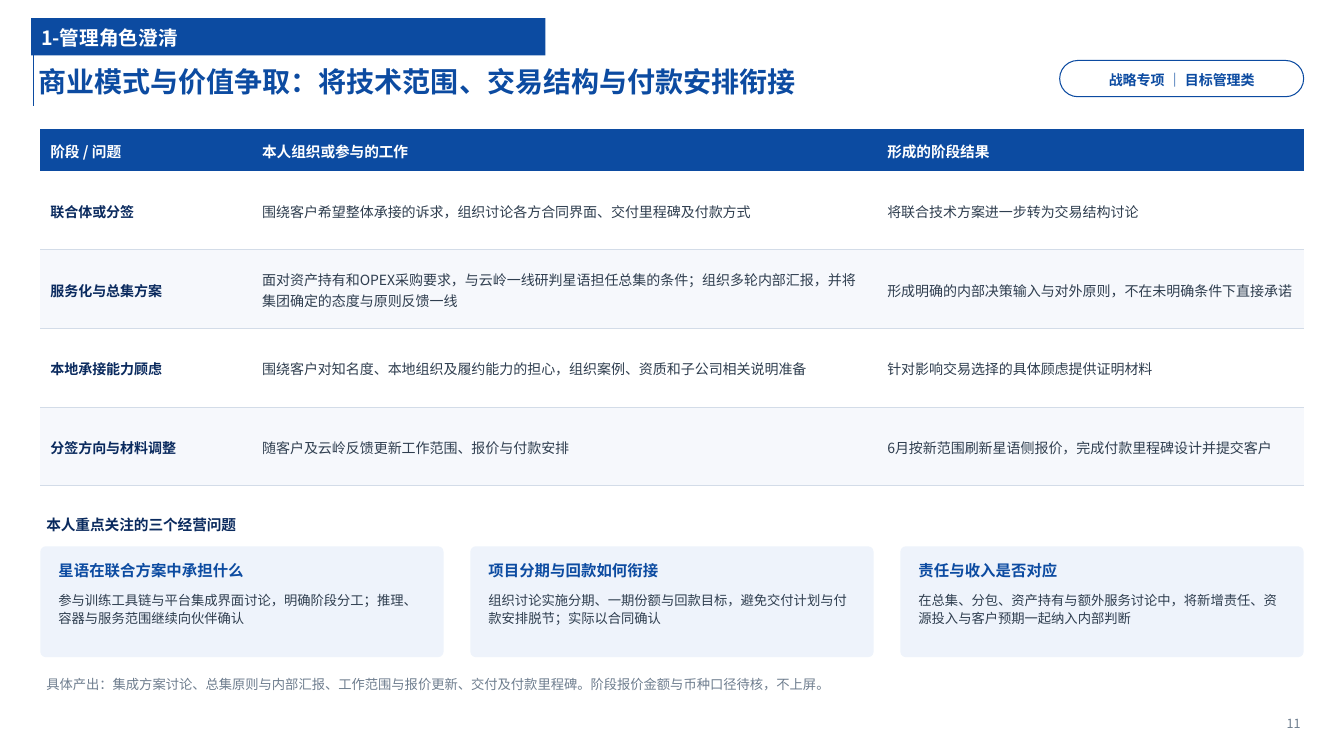
from lxml.etree import SubElement
from pptx import Presentation
from pptx.dml.color import RGBColor
from pptx.enum.shapes import MSO_CONNECTOR, MSO_SHAPE
from pptx.enum.text import MSO_ANCHOR as Anchor, PP_ALIGN as Align
from pptx.oxml import parse_xml
from pptx.oxml.ns import nsdecls, qn
from pptx.util import Inches, Pt

FONT = "Noto Sans CJK SC"
BLUE = RGBColor(0x0C, 0x4B, 0xA1)
NAVY = RGBColor(0x0A, 0x2A, 0x5E)
BODY = RGBColor(0x2F, 0x3E, 0x4F)
GRAY = RGBColor(0x6F, 0x7E, 0x8F)
WHITE = RGBColor(0xFF, 0xFF, 0xFF)
BAND = RGBColor(0xF6, 0xF8, 0xFC)
CARD = RGBColor(0xEE, 0xF3, 0xFB)
RULE = RGBColor(0xD3, 0xDC, 0xE8)

LEFT, WIDTH = 0.4, 12.53


def write(frame, text, size, color, bold=False, align=Align.LEFT, spacing=1.12, after=0):
    """Fill a text frame with one formatted paragraph."""
    para = frame.paragraphs[0]
    para.alignment = align
    para.line_spacing = spacing
    para.space_after = Pt(after)
    span = para.add_run()
    span.text = text
    span.font.size = Pt(size)
    span.font.bold = bold
    span.font.color.rgb = color
    span.font.name = FONT
    SubElement(span.font._element, qn("a:ea"), typeface=FONT)


def add_box(area, text=None, shape=None, fill=None, line=None, radius=None,
            insets=(0.06, 0.04, 0.06, 0.04), anchor=Anchor.MIDDLE, **style):
    """Add a text box, or a preset shape when one is named."""
    place = [Inches(length) for length in area]
    if shape is None:
        box = page.shapes.add_textbox(*place)
    else:
        box = page.shapes.add_shape(shape, *place)
        box.shadow.inherit = False
        box.fill.solid()
        box.fill.fore_color.rgb = fill
        if line is None:
            box.line.fill.background()
        else:
            box.line.color.rgb = line
            box.line.width = Pt(0.75)
        if radius is not None:
            box.adjustments[0] = radius
    if text:
        frame = box.text_frame
        frame.word_wrap = True
        frame.vertical_anchor = anchor
        frame.margin_left, frame.margin_top, frame.margin_right, frame.margin_bottom = (
            Inches(inset) for inset in insets)
        write(frame, text, **style)


deck = Presentation()
deck.slide_width, deck.slide_height = Inches(13.33), Inches(7.5)
page = deck.slides.add_slide(deck.slide_layouts[6])

# Header
title_rule = page.shapes.add_connector(
    MSO_CONNECTOR.STRAIGHT, Inches(0.33), Inches(0.24), Inches(0.33), Inches(1.05))
title_rule.line.color.rgb = BLUE
title_rule.line.width = Pt(1)
SubElement(title_rule._element.spPr, qn("a:effectLst"))

add_box((0.33, 0.53, 11.5, 0.52), "商业模式与价值争取：将技术范围、交易结构与付款安排衔接",
        insets=(0.05, 0, 0.05, 0), size=20, color=BLUE, bold=True)
add_box((0.31, 0.18, 5.1, 0.37), "1-管理角色澄清", MSO_SHAPE.RECTANGLE, BLUE,
        insets=(0.1, 0, 0.05, 0), size=14, color=WHITE, bold=True)
add_box((10.51, 0.6, 2.42, 0.36), "战略专项 ｜ 目标管理类", MSO_SHAPE.ROUNDED_RECTANGLE,
        WHITE, BLUE, 0.5, insets=(0.04, 0, 0.04, 0),
        size=10, color=BLUE, bold=True, align=Align.CENTER)
add_box((12, 7.02, 0.95, 0.3), "11", insets=(0, 0, 0.05, 0),
        size=9, color=GRAY, align=Align.RIGHT)

# Stage table
stages = [
    ("阶段 / 问题", "本人组织或参与的工作", "形成的阶段结果"),
    ("联合体或分签",
     "围绕客户希望整体承接的诉求，组织讨论各方合同界面、交付里程碑及付款方式",
     "将联合技术方案进一步转为交易结构讨论"),
    ("服务化与总集方案",
     "面对资产持有和OPEX采购要求，与云岭一线研判星语担任总集的条件；"
     "组织多轮内部汇报，并将集团确定的态度与原则反馈一线",
     "形成明确的内部决策输入与对外原则，不在未明确条件下直接承诺"),
    ("本地承接能力顾虑",
     "围绕客户对知名度、本地组织及履约能力的担心，组织案例、资质和子公司相关说明准备",
     "针对影响交易选择的具体顾虑提供证明材料"),
    ("分签方向与材料调整",
     "随客户及云岭反馈更新工作范围、报价与付款安排",
     "6月按新范围刷新星语侧报价，完成付款里程碑设计并提交客户"),
]
table = page.shapes.add_table(
    len(stages), 3, Inches(LEFT), Inches(1.28), Inches(WIDTH), Inches(3.54)).table
table.horz_banding = False
NO_STYLE = "{2D5ABB26-0587-4C30-8999-92F81FD0307C}"
table._tbl.tblPr.find(qn("a:tableStyleId")).text = NO_STYLE
for column, width in zip(table.columns, (2.1, 6.2, 4.23)):
    column.width = Inches(width)

for r, stage in enumerate(stages):
    table.rows[r].height = Inches(0.78 if r else 0.42)
    for c, text in enumerate(stage):
        cell = table.cell(r, c)
        cell.vertical_anchor = Anchor.MIDDLE
        cell.fill.solid()
        if r == 0:
            cell.fill.fore_color.rgb = BLUE
            write(cell.text_frame, text, 10.5, WHITE, bold=True)
            continue
        cell.fill.fore_color.rgb = WHITE if r % 2 else BAND
        write(cell.text_frame, text, 10, BODY if c else NAVY, bold=c == 0,
              spacing=1.08, after=2)
        cell._tc.tcPr.insert(0, parse_xml(
            f'<a:lnB {nsdecls("a")} w="{Pt(0.75)}"><a:solidFill>'
            f'<a:srgbClr val="{RULE}"/></a:solidFill></a:lnB>'))

# Question cards
add_box((LEFT, 5.02, 3, 0.34), "本人重点关注的三个经营问题", size=10.5, color=NAVY, bold=True)
questions = [
    ("星语在联合方案中承担什么",
     "参与训练工具链与平台集成界面讨论，明确阶段分工；推理、容器与服务范围继续向伙伴确认"),
    ("项目分期与回款如何衔接",
     "组织讨论实施分期、一期份额与回款目标，避免交付计划与付款安排脱节；实际以合同确认"),
    ("责任与收入是否对应",
     "在总集、分包、资产持有与额外服务讨论中，将新增责任、资源投入与客户预期一起纳入内部判断"),
]
CARD_WIDTH = 4
card_step = (WIDTH - CARD_WIDTH) / (len(questions) - 1)
for i, (heading, detail) in enumerate(questions):
    left = LEFT + i * card_step
    add_box((left, 5.42, CARD_WIDTH, 1.1), shape=MSO_SHAPE.ROUNDED_RECTANGLE,
            fill=CARD, radius=0.05)
    add_box((left + 0.12, 5.48, CARD_WIDTH - 0.24, 0.34), heading,
            size=11, color=BLUE, bold=True)
    add_box((left + 0.12, 5.82, CARD_WIDTH - 0.24, 0.66), detail,
            anchor=Anchor.TOP, size=9.5, color=BODY)

add_box((LEFT, 6.6, WIDTH, 0.36),
        "具体产出：集成方案讨论、总集原则与内部汇报、工作范围与报价更新、交付及付款里程碑。"
        "阶段报价金额与币种口径待核，不上屏。", size=9.5, color=GRAY, after=3)

deck.save("out.pptx")
